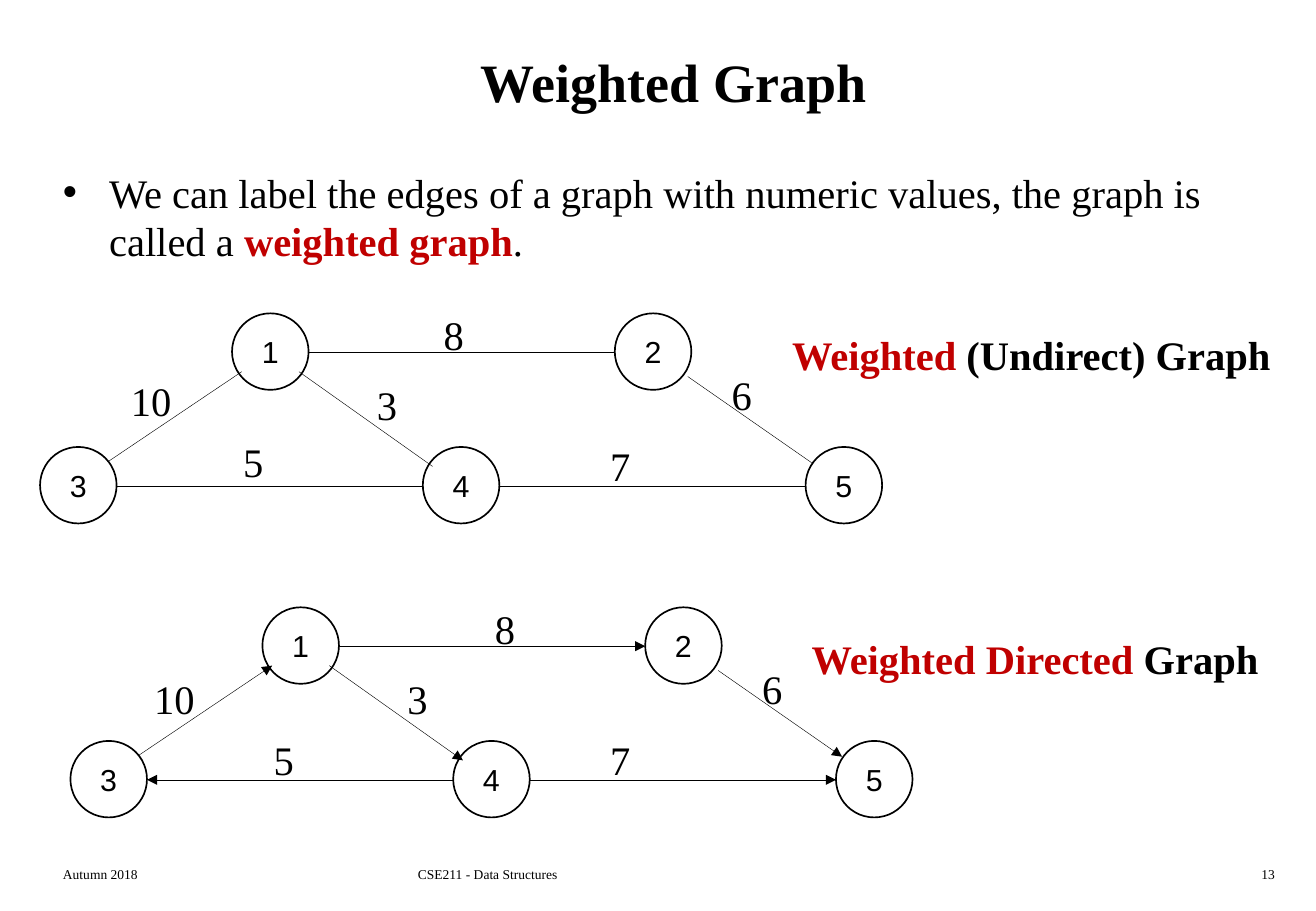
from dataclasses import dataclass
from lxml.etree import SubElement
from pptx import Presentation
from pptx.dml.color import RGBColor
from pptx.enum.shapes import MSO_CONNECTOR, MSO_SHAPE
from pptx.enum.text import MSO_ANCHOR, PP_ALIGN
from pptx.oxml.ns import qn
from pptx.util import Inches, Pt


@dataclass(frozen=True)
class Theme:
    black: RGBColor = RGBColor(0x00, 0x00, 0x00)
    red: RGBColor = RGBColor(0xC0, 0x00, 0x00)
    serif: str = "Times New Roman"
    sans: str = "Arial"
    title: int = 32
    body: int = 24
    node: int = 18
    footer: int = 8


theme = Theme()
deck = Presentation()
deck.slide_width, deck.slide_height = Inches(10.83), Inches(7.5)
page = deck.slides.add_slide(deck.slide_layouts[6])


def write(box, runs, size, font=theme.serif, align=PP_ALIGN.LEFT, wrap=False):
    box.text_frame.word_wrap = wrap
    para = box.text_frame.paragraphs[0]
    para.alignment = align
    for text, color, bold in runs:
        span = para.add_run()
        span.text = text
        span.font.name, span.font.size = font, Pt(size)
        span.font.color.rgb, span.font.bold = color, bold
    return para


def add_text(place, runs, size, align=PP_ALIGN.LEFT, wrap=False):
    box = page.shapes.add_textbox(*map(Inches, place))
    return box, write(box, runs, size, align=align, wrap=wrap)


for left, width, text, align in [
    (0.42, 2.26, "Autumn 2018", PP_ALIGN.LEFT),
    (3.34, 4.06, "CSE211 - Data Structures", PP_ALIGN.LEFT),
    (8.33, 2.26, "13", PP_ALIGN.RIGHT),
]:
    add_text((left, 7.08, width, 0.25), [(text, theme.black, False)],
             theme.footer, align, True)

title, para = add_text((0.42, 0.17, 10.25, 1), [("Weighted Graph", theme.black, True)],
                       theme.title, PP_ALIGN.CENTER, True)
title.text_frame.vertical_anchor = MSO_ANCHOR.MIDDLE

body, para = add_text((0.42, 1.33, 10.17, 1.08), [
    ("We can label the edges of a graph with numeric values, the graph is called a ",
     theme.black, False),
    ("weighted graph", theme.red, True),
    (".", theme.black, False),
], theme.body, wrap=True)
para.space_before = Pt(4.8)
bullet = para._p.get_or_add_pPr()
bullet.set("marL", str(Inches(0.38)))
bullet.set("indent", str(Inches(-0.38)))
SubElement(bullet, qn("a:buFont"), typeface=theme.sans)
SubElement(bullet, qn("a:buChar"), char="•")

diameter = 0.63
nodes = {"1": (1.58, 0), "2": (4.73, 0), "3": (0, 1.1), "4": (3.15, 1.1), "5": (6.3, 1.1)}
edges = [
    (2.13, 0.48, 3.23, 1.26),
    (2.21, 0.32, 4.73, 0.32),
    (5.33, 0.52, 6.35, 1.23),
    (3.15, 1.42, 0.63, 1.42),
    (3.78, 1.42, 6.3, 1.42),
    (0.56, 1.22, 1.66, 0.48),
]
undirected_weights = [("8", 3.55, 2.5), ("7", 4.92, 3.58), ("10", 0.98, 3.05),
                      ("5", 1.9, 3.55), ("3", 3, 3.08), ("6", 5.92, 3)]
directed_weights = [("8", 3.97, 4.92), ("7", 4.92, 6), ("10", 1.17, 5.5),
                    ("5", 2.15, 6), ("3", 3.25, 5.5), ("6", 6.17, 5.42)]

for left, top, directed, weights in [
    (0.33, 2.58, False, undirected_weights),
    (0.58, 5, True, directed_weights),
]:
    for x1, y1, x2, y2 in edges:
        edge = page.shapes.add_connector(
            MSO_CONNECTOR.STRAIGHT, Inches(left + x1), Inches(top + y1),
            Inches(left + x2), Inches(top + y2))
        edge.line.color.rgb, edge.line.width = theme.black, Pt(0.25)
        if directed:
            SubElement(edge.line._get_or_add_ln(), qn("a:tailEnd"), type="triangle")
        SubElement(edge._element.spPr, qn("a:effectLst"))
    for name, (x, y) in nodes.items():
        node = page.shapes.add_shape(MSO_SHAPE.OVAL, Inches(left + x), Inches(top + y),
                                     Inches(diameter), Inches(diameter))
        node.shadow.inherit = False
        node.fill.background()
        node.line.color.rgb, node.line.width = theme.black, Pt(1)
        node.text_frame.vertical_anchor = MSO_ANCHOR.MIDDLE
        write(node, [(name, theme.black, False)], theme.node, theme.sans, PP_ALIGN.CENTER)
    for weight, x, y in weights:
        width = 0.21 + 0.16 * len(weight)
        add_text((x, y, width, 0.5), [(weight, theme.black, False)],
                 theme.body, PP_ALIGN.CENTER)

for place, highlight, rest in [
    ((6.42, 2.67, 4.18, 0.51), "Weighted", " (Undirect) Graph"),
    ((6.58, 5.17, 3.91, 0.51), "Weighted Directed ", "Graph"),
]:
    add_text(place, [(highlight, theme.red, True), (rest, theme.black, True)], theme.body)

deck.save("out.pptx")
